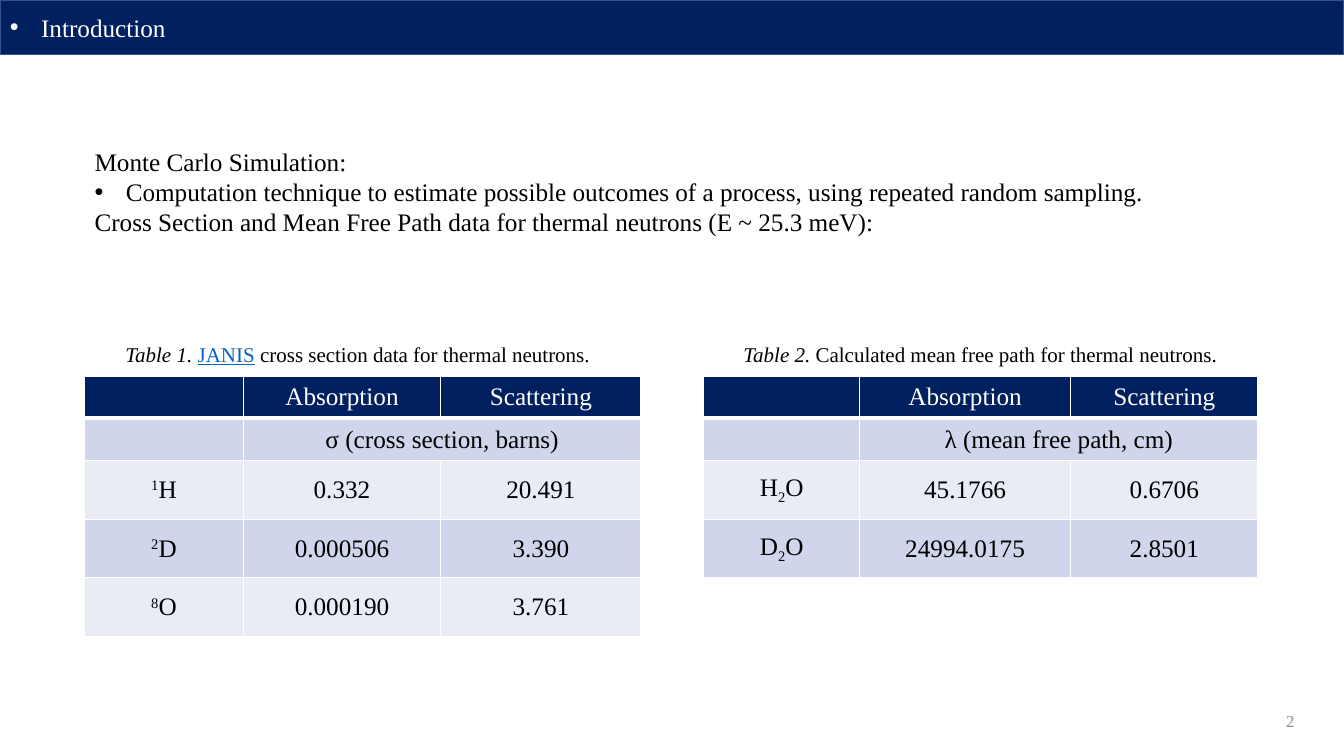
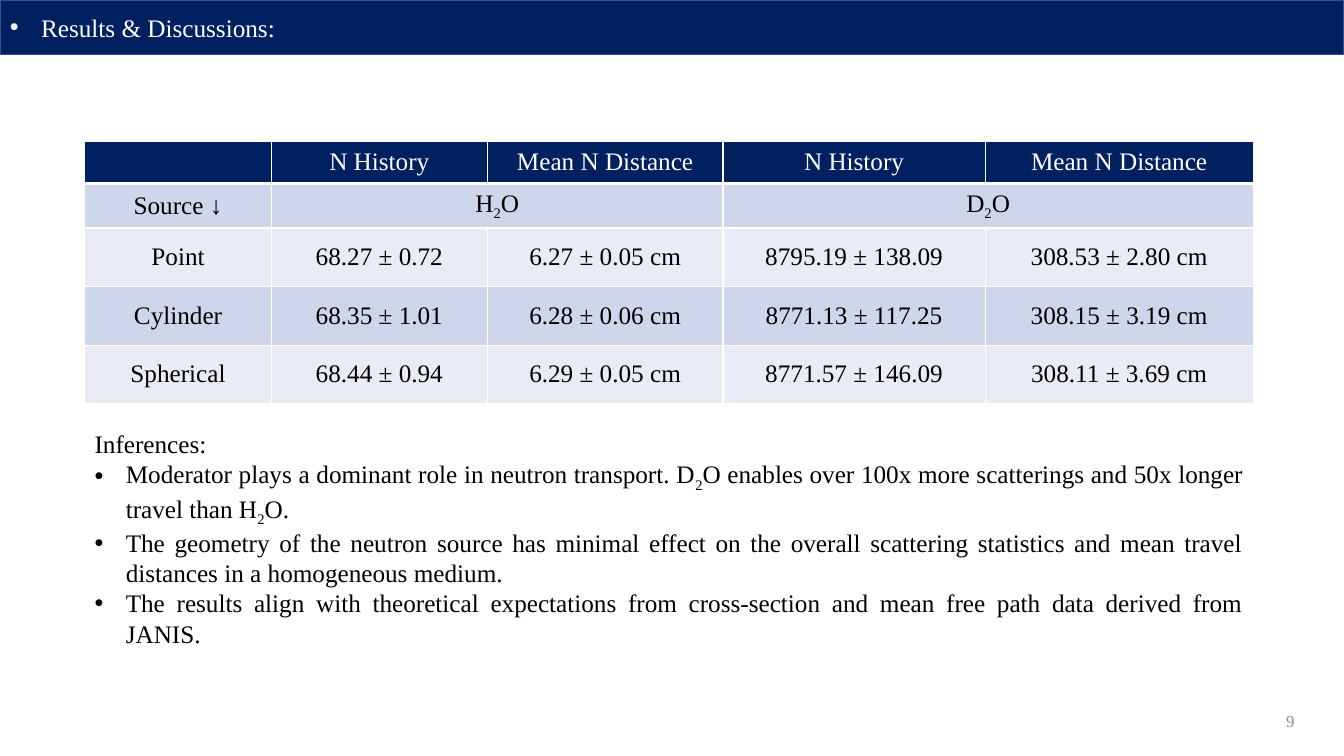
import pptx
import pptx.util
import pptx.dml.color
import pptx.enum.shapes
import pptx.enum.text
import pptx.oxml
import pptx.oxml.ns

FONT = "Times New Roman"
NAVY, EDGE, BLACK, WHITE = "002060", "325491", "000000", "FFFFFF"
GREY, LINK = "8C8C8C", "0563C1"
STRIPES = "E9EBF5", "CFD5EA"

ALIGN = pptx.enum.text.PP_ALIGN
MIDDLE = pptx.enum.text.MSO_ANCHOR.MIDDLE
BASE = {"_": "-25000", "^": "30000"}

deck = pptx.Presentation()
deck.slide_width = pptx.util.Inches(13.33)
deck.slide_height = pptx.util.Inches(7.5)
COL = deck.slide_width / 100
ROW = deck.slide_height / 100

LEFT, TOP = 6.3, 18.67      # body corner, in columns and rows
HEAD, LINE = 5.6, 7.75      # heights of heading rows and data rows
CAPTION = 36.8              # caption width, centred on its table


def hue(code):
    return pptx.dml.color.RGBColor.from_string(code)


def write(frame, lines, size=18, color=BLACK, align=ALIGN.JUSTIFY):
    """Fill a frame: a leading • makes a bullet, | parts runs,
    and _ ^ * @ at the start of a run mark sub, super, italic and link."""
    frame.word_wrap = True
    frame.text = "\n".join(lines)
    for par, line in zip(frame.paragraphs, lines):
        par.alignment = align
        if line.startswith("•"):
            props = par._p.get_or_add_pPr()
            indent = pptx.util.Inches(0.31)
            props.set("marL", str(indent))
            props.set("indent", str(-indent))
            for tag in ('buFont typeface="Arial"', 'buChar char="•"'):
                props.append(pptx.oxml.parse_xml(f'<a:{tag} {pptx.oxml.ns.nsdecls("a")}/>'))
        par.text = ""
        for part in line.lstrip("•").split("|"):
            run = par.add_run()
            run.text = part.lstrip("_^*@")
            mark = part[:1]
            font = run.font
            font.name, font.size = FONT, pptx.util.Pt(size)
            font.color.rgb = hue(LINK if mark == "@" else color)
            if mark == "*":
                font.italic = True
            if mark == "@":
                font.underline = True
            if mark in BASE:
                run._r.get_or_add_rPr().set("baseline", BASE[mark])


# In table cells, None continues the cell to its left.
PAGES = [
    {
        "title": "Introduction",
        "page": "2",
        "body": (TOP, 87.3, 13.5, [
            "Monte Carlo Simulation:",
            "•Computation technique to estimate possible outcomes of a process, using repeated random sampling.",
            "Cross Section and Mean Free Path data for thermal neutrons (E ~ 25.3 meV):",
        ]),
        "tables": [
            (LEFT, 49.73, (11.8, 14.7, 14.9),
             "*Table 1. |@JANIS| cross section data for thermal neutrons.", [
                 ("", "Absorption", "Scattering"),
                 ("", "σ (cross section, barns)", None),
                 ("^1|H", "0.332", "20.491"),
                 ("^2|D", "0.000506", "3.390"),
                 ("^8|O", "0.000190", "3.761"),
             ]),
            (52.36, 49.73, (11.6, 15.7, 13.95),
             "*Table 2. |Calculated mean free path for thermal neutrons.", [
                 ("", "Absorption", "Scattering"),
                 ("", "λ (mean free path, cm)", None),
                 ("H|_2|O", "45.1766", "0.6706"),
                 ("D|_2|O", "24994.0175", "2.8501"),
             ]),
        ],
    },
    {
        "title": "Results & Discussions:",
        "page": "9",
        "body": (56, 86.95, 29.6, [
            "Inferences:",
            "•Moderator plays a dominant role in neutron transport. D|_2|O enables over 100x more "
            "scatterings and 50x longer travel than H|_2|O.",
            "•The geometry of the neutron source has minimal effect on the overall scattering "
            "statistics and mean travel distances in a homogeneous medium.",
            "•The results align with theoretical expectations from cross-section and mean free path "
            "data derived from JANIS.",
        ]),
        "tables": [
            (LEFT, TOP, (13.9, 16.05, 17.55, 19.5, 19.95), None, [
                ("", "N History", "Mean N Distance", "N History", "Mean N Distance"),
                ("Source ↓", "H|_2|O", None, "D|_2|O", None),
                ("Point", "68.27 ± 0.72", "6.27 ± 0.05 cm", "8795.19 ± 138.09", "308.53 ± 2.80 cm"),
                ("Cylinder", "68.35 ± 1.01", "6.28 ± 0.06 cm", "8771.13 ± 117.25", "308.15 ± 3.19 cm"),
                ("Spherical", "68.44 ± 0.94", "6.29 ± 0.05 cm", "8771.57 ± 146.09", "308.11 ± 3.69 cm"),
            ]),
        ],
    },
]

for page in PAGES:
    slide = deck.slides.add_slide(deck.slide_layouts[6])
    shapes = slide.shapes

    band = shapes.add_shape(pptx.enum.shapes.MSO_SHAPE.RECTANGLE,
                            0, 0, deck.slide_width, int(7.2 * ROW))
    band.shadow.inherit = False
    band.fill.solid()
    band.fill.fore_color.rgb = hue(NAVY)
    band.line.color.rgb = hue(EDGE)
    band.line.width = pptx.util.Pt(1)
    band.text_frame.vertical_anchor = MIDDLE
    write(band.text_frame, ["•" + page["title"]], color=WHITE, align=ALIGN.LEFT)

    top, width, height, lines = page["body"]
    body = shapes.add_textbox(int(LEFT * COL), int(top * ROW), int(width * COL), int(height * ROW))
    write(body.text_frame, lines)

    for left, top, widths, caption, rows in page["tables"]:
        heights = [HEAD] * 2 + [LINE] * (len(rows) - 2)
        wide = sum(widths)
        grid = shapes.add_table(len(rows), len(widths), int(left * COL), int(top * ROW),
                                int(wide * COL), int(sum(heights) * ROW)).table
        for col, width in zip(grid.columns, widths):
            col.width = int(width * COL)
        for row, height in zip(grid.rows, heights):
            row.height = int(height * ROW)

        for y, row in enumerate(rows):
            for x, text in enumerate(row):
                cell = grid.cell(y, x)
                cell.vertical_anchor = MIDDLE
                for side in "LRTB":
                    thick = 3 if (y, side) in ((0, "B"), (1, "T")) else 1
                    cell._tc.get_or_add_tcPr().append(pptx.oxml.parse_xml(
                        f'<a:ln{side} {pptx.oxml.ns.nsdecls("a")} w="{pptx.util.Pt(thick)}">'
                        f'<a:solidFill><a:srgbClr val="{WHITE}"/></a:solidFill></a:ln{side}>'))
                cell.fill.solid()
                cell.fill.fore_color.rgb = hue(STRIPES[y % 2] if y else NAVY)
                if text:
                    write(cell.text_frame, [text], color=BLACK if y else WHITE, align=ALIGN.CENTER)
        for y, row in enumerate(rows):
            for x, text in enumerate(row):
                if text is None:
                    grid.cell(y, x - 1).merge(grid.cell(y, x))

        if caption:
            label = shapes.add_textbox(int((left + (wide - CAPTION) / 2) * COL), int((top - 5.2) * ROW),
                                       int(CAPTION * COL), int(4.67 * ROW))
            write(label.text_frame, [caption], size=15)

    number = shapes.add_textbox(int(74.55 * COL), int(92.67 * ROW), int(22.5 * COL), int(5.33 * ROW))
    number.text_frame.vertical_anchor = MIDDLE
    write(number.text_frame, [page["page"]], size=12, color=GREY, align=ALIGN.RIGHT)

deck.save("out.pptx")
